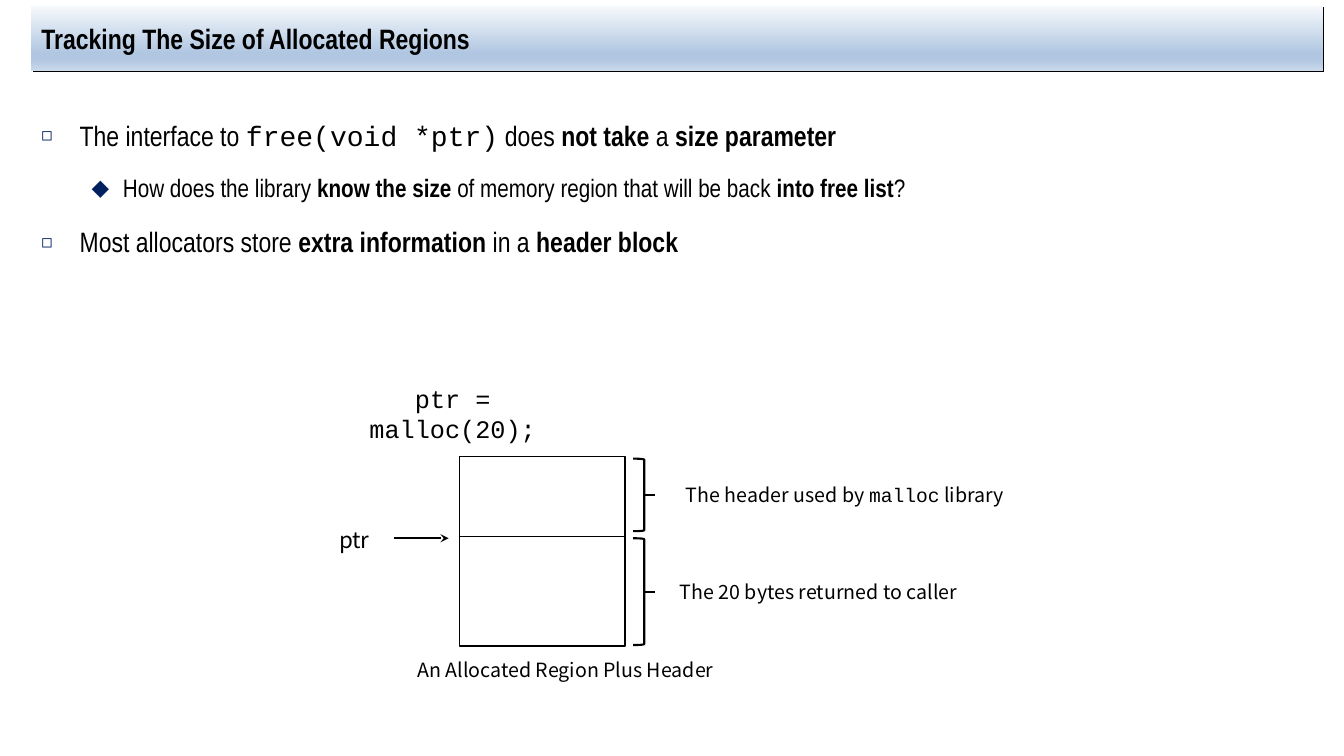
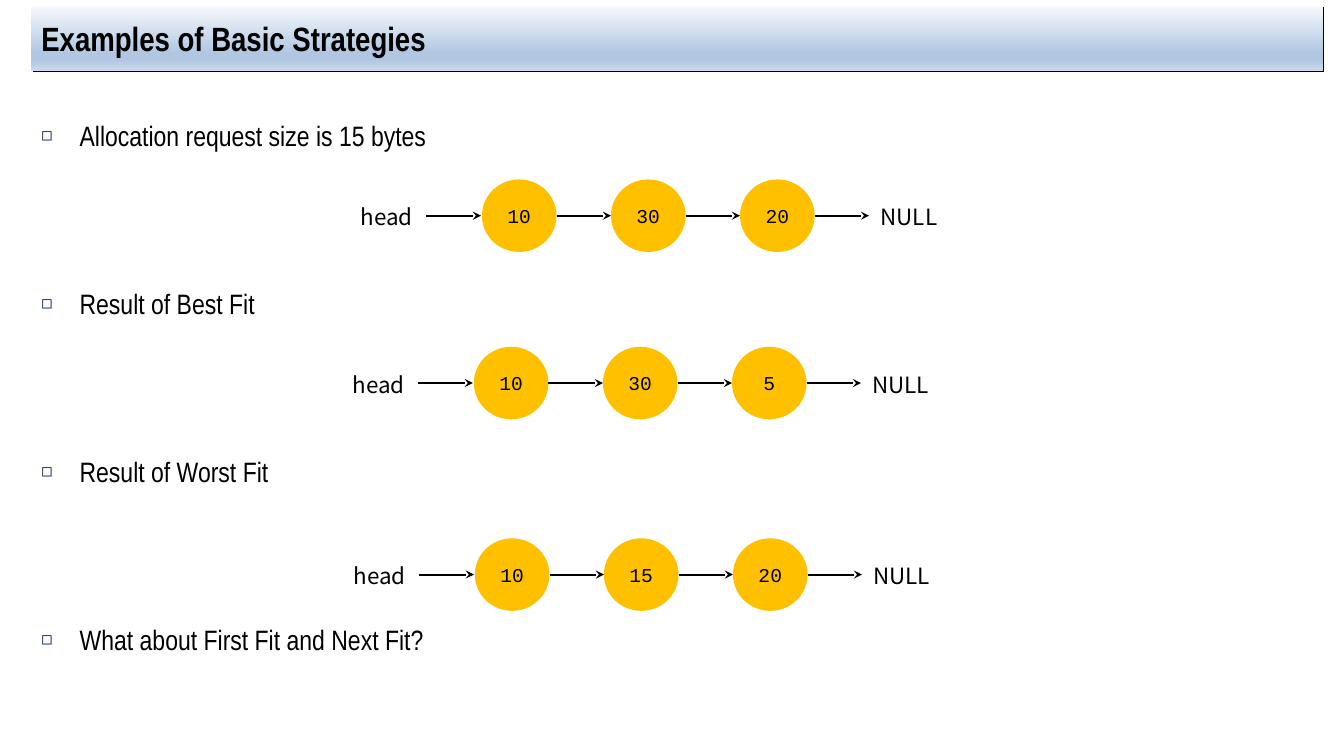
from pptx import Presentation
from pptx.dml.color import RGBColor
from pptx.enum.shapes import MSO_CONNECTOR, MSO_SHAPE
from pptx.enum.text import MSO_ANCHOR, MSO_AUTO_SIZE, PP_ALIGN
from pptx.oxml import parse_xml
from pptx.oxml.ns import nsdecls
from pptx.util import Inches, Pt

COLORS = {"text": "000000", "bullet": "002060", "box": "FFFFFF", "node": "FFC000"}
BAND_STOPS = [(0, "F6F9FC"), (74, "B0C6E1"), (83, "B0C6E1"), (100, "CAD9EB")]
NARROW, CODE, LABEL = "Arial Narrow", "Courier New", "Noto Sans CJK KR"

TITLE_AREA = (0.31, 0.06, 12.81, 0.64)
BODY_AREA = (0.31, 0.96, 12.81, 6.02)
LEVELS = [
    {"size": 20, "margin": 0.38, "hang": 0.38, "mark": "◻", "mark_size": 65},
    {"size": 18, "margin": 0.81, "hang": 0.31, "mark": "⬥", "mark_size": 100},
]
BOLD, MONO = {"bold": True}, {"name": CODE}

# Each bullet: level, spans of (text, format)
HEADER_BULLETS = [
    (0, [("The interface to ", {}), ("free(void *ptr)", MONO), (" does ", {}),
         ("not take", BOLD), (" a ", {}), ("size parameter", BOLD)]),
    (1, [("How does the library ", {}), ("know the size", BOLD),
         (" of memory region that will be back ", {}),
         ("into free list", BOLD), ("?", {})]),
    (0, [("Most allocators store ", {}), ("extra information", BOLD),
         (" in a ", {}), ("header block", BOLD)]),
]
STRATEGY_BULLETS = [(0, [(text, {})]) for text in (
    "Allocation request size is 15 bytes",
    "Result of Best Fit",
    "Result of Worst Fit",
    "What about First Fit and Next Fit?",
)]

# Memory parts: top, height, bracket top, bracket height
REGION_PARTS = [(4.53, 0.79, 4.55, 0.72), (5.32, 1.09, 5.34, 1.06)]
# Labels: area, size, spans of (text, font)
REGION_LABELS = [
    ((6.62, 4.74, 3.52, 0.34), 14,
     [("The header used by ", LABEL), ("malloc", CODE), (" library", LABEL)]),
    ((6.62, 5.7, 3, 0.34), 14, [("The 20 bytes returned to caller", LABEL)]),
    ((3.87, 6.48, 3.48, 0.34), 14, [("An Allocated Region Plus Header", LABEL)]),
    ((3.14, 3.75, 2.7, 0.34), 18, [("ptr = malloc(20);", CODE)]),
]

# Free lists: left, middle height, node sizes
FREE_LISTS = [
    (3.44, 2.14, [10, 30, 20]),
    (3.36, 3.8, [10, 30, 5]),
    (3.37, 5.7, [10, 15, 20]),
]
TAG_W, TAG_H = 0.79, 0.34
NODE_W, NODE_H = 0.74, 0.72
ARROW = 0.54
NODE_STEP = NODE_W + ARROW


def rgb(name):
    return RGBColor.from_string(COLORS[name])


def inches(area):
    return [Inches(value) for value in area]


def place(shape, area):
    shape.left, shape.top, shape.width, shape.height = inches(area)


def add_span(para, text, **formats):
    span = para.add_run()
    span.text = text
    span.font.color.rgb = rgb("text")
    for key, value in formats.items():
        setattr(span.font, key, value)


def set_frame(shape, **formats):
    frame = shape.text_frame
    settings = {"word_wrap": True, "auto_size": MSO_AUTO_SIZE.NONE, **formats}
    for key, value in settings.items():
        setattr(frame, key, value)
    return frame


def style_band(title):
    """Give the title its vertical gradient and thin lower-right edge."""
    stops = "".join(f'<a:gs pos="{pos * 1000}"><a:srgbClr val="{color}"/></a:gs>'
                    for pos, color in BAND_STOPS)
    props = title._element.spPr
    props.append(parse_xml(
        f'<a:gradFill {nsdecls("a")} rotWithShape="1"><a:gsLst>{stops}</a:gsLst>'
        '<a:lin ang="5400000" scaled="0"/></a:gradFill>'))
    props.append(parse_xml(
        f'<a:effectLst {nsdecls("a")}><a:outerShdw dist="{Pt(1.4)}" dir="2700000" '
        f'algn="ctr" rotWithShape="0"><a:srgbClr val="{COLORS["text"]}"/>'
        '</a:outerShdw></a:effectLst>'))


def set_bullet(para, level):
    props = para._p.get_or_add_pPr()
    props.set("marL", str(Inches(level["margin"])))
    props.set("indent", str(-Inches(level["hang"])))
    for xml in (f'<a:buClr {{}}><a:srgbClr val="{COLORS["bullet"]}"/></a:buClr>',
                f'<a:buSzPct {{}} val="{level["mark_size"] * 1000}"/>',
                f'<a:buChar {{}} char="{level["mark"]}"/>'):
        props.append(parse_xml(xml.format(nsdecls("a"))))


def add_page(deck, heading, heading_size, bullets, extra_gap=0):
    """Add a page with title band and bullets; extra_gap is points between bullets."""
    page = deck.slides.add_slide(deck.slide_layouts[1])
    title, body = page.shapes.title, page.placeholders[1]
    place(title, TITLE_AREA)
    style_band(title)
    para = set_frame(title, vertical_anchor=MSO_ANCHOR.MIDDLE).paragraphs[0]
    para.alignment = PP_ALIGN.LEFT
    add_span(para, heading, name=NARROW, size=Pt(heading_size), bold=True)

    place(body, BODY_AREA)
    frame = set_frame(body, vertical_anchor=MSO_ANCHOR.TOP)
    for index, (depth, spans) in enumerate(bullets):
        para = frame.add_paragraph() if index else frame.paragraphs[0]
        level = LEVELS[depth]
        para.level = depth
        set_bullet(para, level)
        para.line_spacing = 1.5
        para.space_before = Pt(0.2 * level["size"] + extra_gap if index else 0)
        for text, formats in spans:
            add_span(para, text, **{"name": NARROW, "size": Pt(level["size"]), **formats})
    return page


def add_label(page, area, size, spans):
    box = page.shapes.add_textbox(*inches(area))
    para = set_frame(box).paragraphs[0]
    para.alignment = PP_ALIGN.CENTER
    for text, font in spans:
        add_span(para, text, name=font, size=Pt(size))
    return box


def add_block(page, kind, area, fill=None, line=None):
    block = page.shapes.add_shape(kind, *inches(area))
    block.shadow.inherit = False
    if fill:
        block.fill.solid()
        block.fill.fore_color.rgb = rgb(fill)
    else:
        block.fill.background()
    if line:
        block.line.color.rgb = rgb("text")
        block.line.width = Pt(line)
    else:
        block.line.fill.background()
    return block


def add_line(page, left, right, y, arrow=False):
    line = page.shapes.add_connector(
        MSO_CONNECTOR.STRAIGHT, *inches((left, y, right, y)))
    line.line.color.rgb = rgb("text")
    line.line.width = Pt(1.5)
    if arrow:
        line.line._get_or_add_ln().append(
            parse_xml(f'<a:tailEnd {nsdecls("a")} type="stealth"/>'))
    line._element.spPr.append(parse_xml(f'<a:effectLst {nsdecls("a")}/>'))
    return line


def add_tag(page, left, middle, text):
    area = (left, middle - TAG_H / 2, TAG_W, TAG_H)
    return add_label(page, area, 16, [(text, LABEL)])


def add_pointer(page, left, middle, text):
    """Add a name with an arrow leaving its right side."""
    tag = add_tag(page, left, middle, text)
    start = left + TAG_W
    add_line(page, start, start + ARROW, middle, arrow=True).begin_connect(tag, 3)


def draw_region(page):
    for top, height, bracket_top, bracket_height in REGION_PARTS:
        add_block(page, MSO_SHAPE.RECTANGLE, (4.56, top, 1.64, height), "box", 1)
        add_block(page, MSO_SHAPE.RIGHT_BRACKET,
                  (6.28, bracket_top, 0.11, bracket_height), line=1.5)
        add_line(page, 6.39, 6.5, bracket_top + bracket_height / 2)
    add_pointer(page, 3.12, 5.34, "ptr")
    for label in REGION_LABELS:
        add_label(page, *label)


def draw_free_list(page, left, middle, sizes):
    add_pointer(page, left, middle, "head")
    node_left = left + TAG_W + ARROW + 0.01
    for size in sizes:
        node = add_block(page, MSO_SHAPE.OVAL,
                         (node_left, middle - NODE_H / 2, NODE_W, NODE_H), "node")
        frame = set_frame(node, vertical_anchor=MSO_ANCHOR.MIDDLE,
                          margin_left=0, margin_right=0)
        frame.paragraphs[0].alignment = PP_ALIGN.CENTER
        add_span(frame.paragraphs[0], str(size), name=CODE, size=Pt(14))
        link = add_line(page, node_left + NODE_W, node_left + NODE_STEP, middle, arrow=True)
        node_left += NODE_STEP
    link.end_connect(add_tag(page, node_left, middle, "NULL"), 1)


def main():
    deck = Presentation()
    deck.slide_width, deck.slide_height = Inches(13.33), Inches(7.5)
    draw_region(add_page(deck, "Tracking The Size of Allocated Regions", 20, HEADER_BULLETS))
    strategies = add_page(deck, "Examples of Basic Strategies", 24, STRATEGY_BULLETS, 80)
    for free_list in FREE_LISTS:
        draw_free_list(strategies, *free_list)
    deck.save("out.pptx")


if __name__ == "__main__":
    main()
